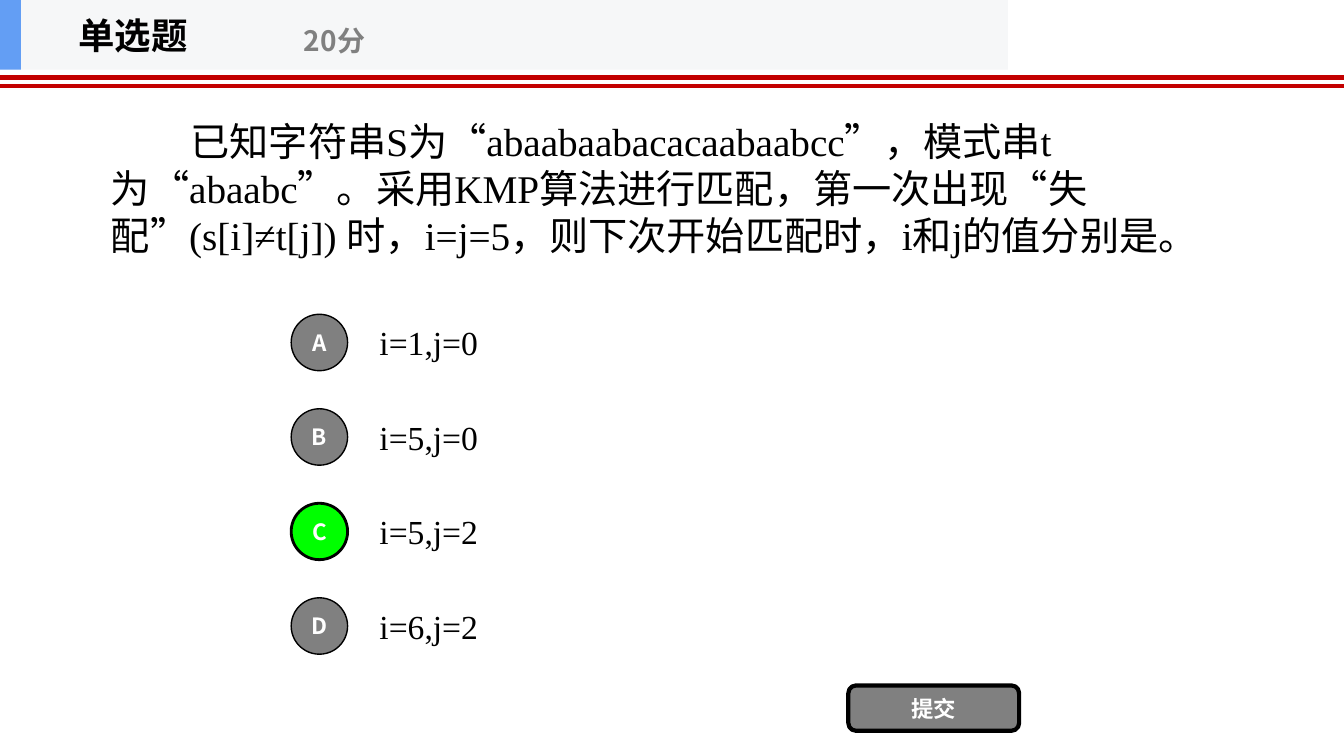
from dataclasses import dataclass

from lxml import etree
from pptx import Presentation
from pptx.dml.color import RGBColor
from pptx.enum.lang import MSO_LANGUAGE_ID
from pptx.enum.shapes import MSO_CONNECTOR, MSO_SHAPE
from pptx.enum.text import MSO_ANCHOR, MSO_AUTO_SIZE, PP_ALIGN
from pptx.oxml.ns import qn
from pptx.util import Pt

LEFT, CENTER = PP_ALIGN.LEFT, PP_ALIGN.CENTER
MIDDLE = MSO_ANCHOR.MIDDLE
NO_AUTOFIT = MSO_AUTO_SIZE.NONE
CHINESE = MSO_LANGUAGE_ID.SIMPLIFIED_CHINESE
STRAIGHT = MSO_CONNECTOR.STRAIGHT
OVAL, RECTANGLE = MSO_SHAPE.OVAL, MSO_SHAPE.RECTANGLE
ROUNDED = MSO_SHAPE.ROUNDED_RECTANGLE

SANS, SERIF = "Noto Sans CJK SC", "Times New Roman"
BLACK, WHITE, GRAY = "000000", "FFFFFF", "808080"
RED, GREEN, BLUE, PALE = "C30000", "00FF00", "639EF4", "F6F7F8"

SLIDE_WIDTH, SLIDE_HEIGHT = 960, 540
HEADER_HEIGHT = 49.7
RULE_TOPS = (55.4, 61.2)
FIRST_BADGE_TOP, OPTION_PITCH = 224.5, 67.5
BADGE_SIZE, ANSWER_HEIGHT = 40.3, 50.4

QUESTION = (
    "已知字符串S为“abaabaabacacaabaabcc”，模式串t为“abaabc”。"
    "采用KMP算法进行匹配，第一次出现“失配”(s[i]≠t[j]) 时，"
    "i=j=5，则下次开始匹配时，i和j的值分别是。"
)


@dataclass(frozen=True)
class Box:
    left: float
    top: float
    width: float
    height: float

    def lengths(self) -> tuple:
        return Pt(self.left), Pt(self.top), Pt(self.width), Pt(self.height)


@dataclass(frozen=True)
class Option:
    letter: str
    answer: str
    fill: str = GRAY
    outline: float = 1


OPTIONS = (
    Option("A", "i=1,j=0"),
    Option("B", "i=5,j=0"),
    Option("C", "i=5,j=2", fill=GREEN, outline=2),
    Option("D", "i=6,j=2"),
)


def paint(color_format, color: str) -> None:
    color_format.rgb = RGBColor.from_string(color)


def write(shape, text: str, *, size: float, color: str = BLACK, font: str = SANS,
          bold: bool = False, align=CENTER, wrap: bool = True,
          line_spacing=None, margin=None):
    """Fill the shape with one formatted paragraph and return it."""
    frame = shape.text_frame
    frame.auto_size = NO_AUTOFIT
    frame.word_wrap = wrap
    frame.vertical_anchor = MIDDLE
    if margin is not None:
        frame.margin_left = frame.margin_right = Pt(margin)
        frame.margin_top = frame.margin_bottom = Pt(margin)
    paragraph = frame.paragraphs[0]
    paragraph.alignment = align
    paragraph.space_before = Pt(0)
    if line_spacing:
        paragraph.line_spacing = Pt(line_spacing)
    run = paragraph.add_run()
    run.text = text
    run.font.size = Pt(size)
    run.font.bold = bold
    run.font.name = font
    run.font.language_id = CHINESE
    paint(run.font.color, color)
    east_asian = etree.Element(qn("a:ea"), typeface=SANS)
    run.font._element.find(qn("a:latin")).addnext(east_asian)
    return paragraph


def place(shape, box: Box) -> None:
    shape.left, shape.top, shape.width, shape.height = box.lengths()


def add_block(slide, kind, box: Box, fill: str, outline: float = 0):
    block = slide.shapes.add_shape(kind, *box.lengths())
    block.shadow.inherit = False
    block.fill.solid()
    paint(block.fill.fore_color, fill)
    if outline:
        paint(block.line.color, BLACK)
        block.line.width = Pt(outline)
    else:
        block.line.fill.background()
    return block


def add_rule(slide, top: float) -> None:
    rule = slide.shapes.add_connector(STRAIGHT, Pt(0), Pt(top), Pt(SLIDE_WIDTH), Pt(top))
    paint(rule.line.color, RED)
    rule.line.width = Pt(3)
    etree.SubElement(rule.element.spPr, qn("a:effectLst"))


def add_header(slide) -> None:
    add_block(slide, RECTANGLE, Box(0, 0, 720, HEADER_HEIGHT), PALE)
    add_block(slide, RECTANGLE, Box(0, 0, 15, HEADER_HEIGHT), BLUE)
    title = slide.shapes.title
    place(title, Box(20, 0, 150, HEADER_HEIGHT))
    write(title, "单选题", size=26, bold=True, wrap=False)
    title.element.getparent().append(title.element)  # in front of the header band
    score = slide.shapes.add_textbox(*Box(149, 8.6, 180, 40.3).lengths())
    write(score, "20分", size=20, color=GRAY, bold=True, wrap=False)


def add_question(slide) -> None:
    question = slide.placeholders[1]
    place(question, Box(72, 49.7, 799, 168.5))
    paragraph = write(question, QUESTION, size=28, font=SERIF, align=LEFT, line_spacing=33.6)
    properties = paragraph._p.get_or_add_pPr()
    properties.set("marL", "0")
    properties.set("indent", str(Pt(57)))
    etree.SubElement(properties, qn("a:buNone"))


def add_option(slide, option: Option, badge_top: float) -> None:
    answer_top = badge_top - (ANSWER_HEIGHT - BADGE_SIZE) / 2
    answer = slide.shapes.add_textbox(*Box(264, answer_top, 504, ANSWER_HEIGHT).lengths())
    write(answer, option.answer, size=24, font=SERIF, align=LEFT)
    badge = add_block(slide, OVAL, Box(208, badge_top, BADGE_SIZE, BADGE_SIZE),
                      option.fill, option.outline)
    write(badge, option.letter, size=16, color=WHITE, bold=True, margin=0)


def add_submit_button(slide) -> None:
    button = add_block(slide, ROUNDED, Box(606, 489.6, 122, 32.4), GRAY, outline=3)
    button.adjustments[0] = 0.17
    write(button, "提交", size=16, color=WHITE, bold=True, margin=0)


def main() -> None:
    deck = Presentation()
    deck.slide_width, deck.slide_height = Pt(SLIDE_WIDTH), Pt(SLIDE_HEIGHT)
    slide = deck.slides.add_slide(deck.slide_layouts[1])
    for top in RULE_TOPS:
        add_rule(slide, top)
    add_question(slide)
    for row, option in enumerate(OPTIONS):
        add_option(slide, option, FIRST_BADGE_TOP + row * OPTION_PITCH)
    add_submit_button(slide)
    add_header(slide)
    deck.save("out.pptx")


if __name__ == "__main__":
    main()
